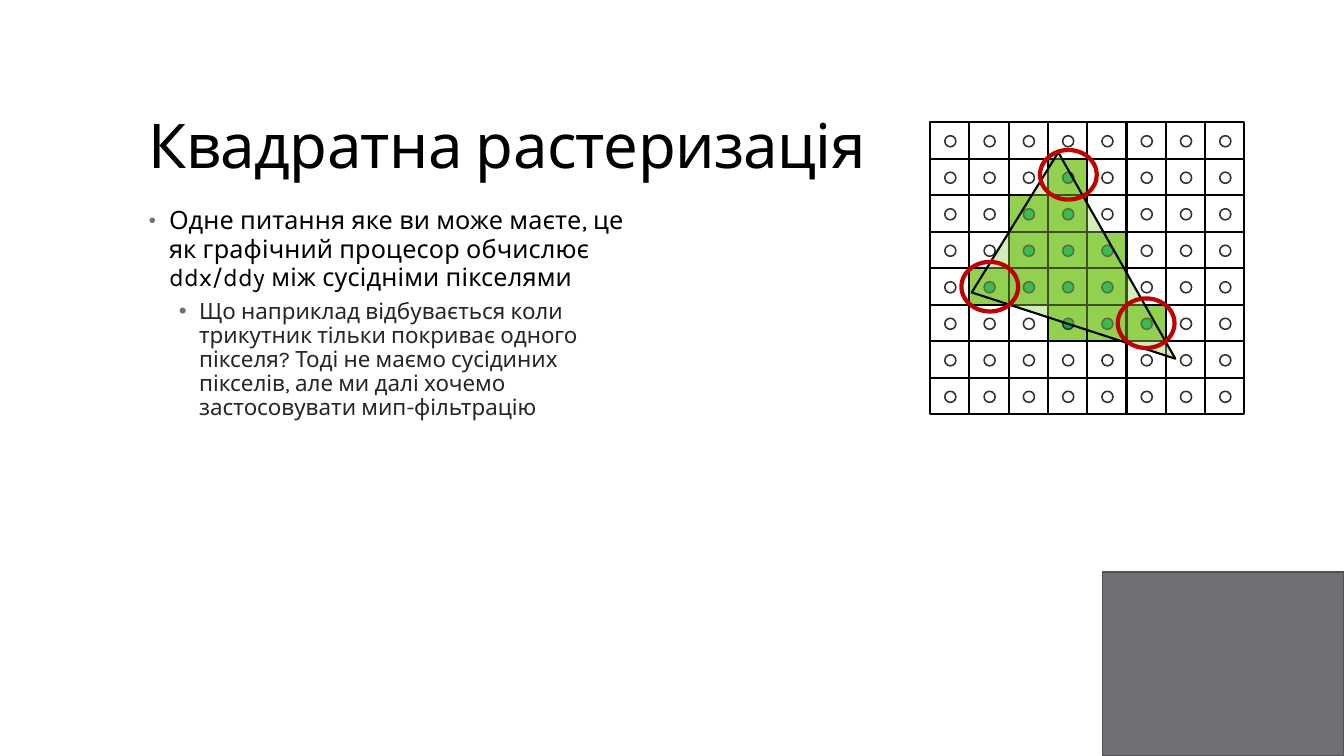
from lxml import etree
from pptx import Presentation
from pptx.dml.color import RGBColor
from pptx.enum.shapes import MSO_SHAPE
from pptx.enum.text import MSO_ANCHOR
from pptx.oxml.ns import qn
from pptx.util import Cm, Pt

RECTANGLE, OVAL = MSO_SHAPE.RECTANGLE, MSO_SHAPE.OVAL
TOP, BOTTOM = MSO_ANCHOR.TOP, MSO_ANCHOR.BOTTOM
COLORS = {
    "black": "000000",
    "body": "262626",
    "gray": "6F6F74",
    "gray_edge": "525256",
    "dot_edge": "313133",
    "cell": "92D050",
    "dot": "00B050",
    "ring": "C00000",
}


def add_paragraph(paragraph, text, *, size, color, spacing, tracking=0,
                  before=None, after=None, left=0, hanging=0, bullet_size=None):
    if hanging:
        properties = paragraph._p.get_or_add_pPr()
        properties.set("marL", str(Cm(left)))
        properties.set("indent", str(-Cm(hanging)))
        bullet_color = etree.SubElement(properties, qn("a:buClr"))
        etree.SubElement(bullet_color, qn("a:srgbClr"), val=COLORS["gray"])
        if bullet_size:
            etree.SubElement(properties, qn("a:buSzPct"), val=str(bullet_size * 1000))
        etree.SubElement(properties, qn("a:buFont"), typeface="Arial")
        etree.SubElement(properties, qn("a:buChar"), char="•")
    paragraph.line_spacing = spacing
    if before is not None:
        paragraph.space_before = Pt(before)
    if after is not None:
        paragraph.space_after = Pt(after)
    run = paragraph.add_run()
    run.text = text
    run.font.name = "Karla"
    run.font.size = Pt(size)
    run.font.color.rgb = RGBColor.from_string(COLORS[color])
    run._r.get_or_add_rPr().set("spc", str(round(tracking * 100)))


def style_shape(shape, line, width, fill=None):
    shape.shadow.inherit = False
    shape.line.color.rgb = RGBColor.from_string(COLORS[line])
    shape.line.width = Pt(width)
    if fill:
        shape.fill.solid()
        shape.fill.fore_color.rgb = RGBColor.from_string(COLORS[fill])
    else:
        shape.fill.background()


presentation = Presentation()
presentation.slide_width = Cm(33.87)
presentation.slide_height = Cm(19.05)
slide = presentation.slides.add_slide(presentation.slide_layouts[6])
shapes = slide.shapes

corner = shapes.add_shape(RECTANGLE, Cm(27.78), Cm(14.42), Cm(6.09), Cm(4.63))
style_shape(corner, "gray_edge", 1.1, "gray")

title = shapes.add_textbox(Cm(3.5), Cm(1.02), Cm(26.92), Cm(3.68)).text_frame
title.word_wrap = True
title.vertical_anchor = BOTTOM
add_paragraph(title.paragraphs[0], "Квадратна растеризація",
              size=44, color="black", spacing=0.9, tracking=-0.5)

body = shapes.add_textbox(Cm(3.5), Cm(5.08), Cm(12.78), Cm(12.09)).text_frame
body.word_wrap = True
body.vertical_anchor = TOP
add_paragraph(
    body.paragraphs[0],
    "Одне питання яке ви може маєте, це як графічний процесор обчислює "
    "ddx/ddy між сусідніми пікселями",
    size=18, color="black", spacing=0.95, tracking=0.1, after=2,
    left=0.51, hanging=0.51, bullet_size=80)
add_paragraph(
    body.add_paragraph(),
    "Що наприклад відбувається коли трикутник тільки покриває одного "
    "пікселя? Тоді не маємо сусідиних пікселів, але ми далі хочемо "
    "застосовувати мип-фільтрацію",
    size=16, color="body", spacing=0.9, before=3, after=3,
    left=1.27, hanging=0.51)

GRID_LEFT, GRID_TOP = 23.44, 3.08
CELL_WIDTH, CELL_HEIGHT = 0.99, 0.92
DOT_SIZE = 0.28
COVERED = {1: [3], 2: [2, 3], 3: [2, 3, 4], 4: [1, 2, 3, 4], 5: [3, 4, 5]}

for row in range(8):
    for column in range(8):
        covered = column in COVERED.get(row, [])
        left = GRID_LEFT + column * CELL_WIDTH
        top = GRID_TOP + row * CELL_HEIGHT
        cell = shapes.add_shape(RECTANGLE, Cm(left), Cm(top),
                                Cm(CELL_WIDTH), Cm(CELL_HEIGHT))
        style_shape(cell, "black", 1.5, "cell" if covered else None)
        dot = shapes.add_shape(OVAL, Cm(left + 0.37), Cm(top + 0.34),
                               Cm(DOT_SIZE), Cm(DOT_SIZE))
        style_shape(dot, "dot_edge", 1.1, "dot" if covered else None)

builder = shapes.build_freeform(Cm(26.67), Cm(3.84))
builder.add_line_segments([(Cm(24.49), Cm(7.37)), (Cm(29.62), Cm(9.04))], close=True)
triangle = builder.convert_to_shape()
style_shape(triangle, "black", 1.5, "cell")
triangle_color = triangle._element.spPr.find(qn("a:solidFill"))[0]
etree.SubElement(triangle_color, qn("a:alpha"), val="40000")

for left, top in [(24.23, 6.6), (28.17, 7.52), (26.21, 3.78)]:
    ring = shapes.add_shape(OVAL, Cm(left), Cm(top), Cm(1.43), Cm(1.25))
    style_shape(ring, "ring", 3)

presentation.save("out.pptx")
